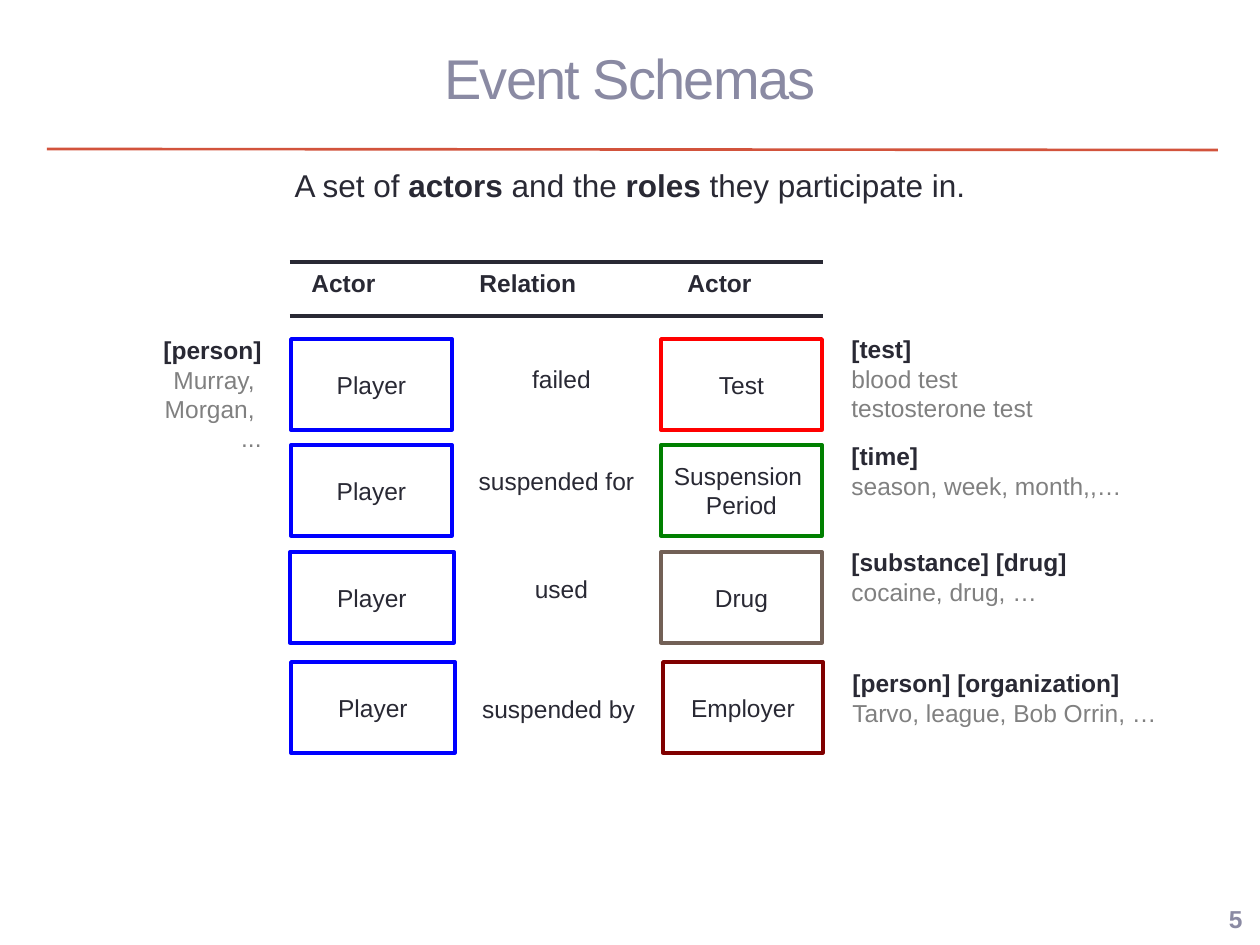
from pptx import Presentation
from pptx.dml.color import RGBColor as RGB
from pptx.enum.shapes import MSO_CONNECTOR as LINE, MSO_SHAPE as SHAPE
from pptx.enum.text import MSO_ANCHOR as ANCHOR, PP_ALIGN as ALIGN
from pptx.oxml.ns import qn
from pptx.util import Pt
from lxml.etree import SubElement

PX = 914400 // 126
DARK, SLATE = RGB(0x29, 0x29, 0x34), RGB(0x8A, 0x8A, 0xA3)
GRAY, RUST = RGB(0x80, 0x80, 0x80), RGB(0xD2, 0x53, 0x3C)
BLUE, RED = RGB(0, 0, 255), RGB(255, 0, 0)
GREEN, BROWN = RGB(0, 0x80, 0), RGB(0x72, 0x60, 0x56)
MAROON, WHITE = RGB(0x80, 0, 0), RGB(255, 255, 255)

# Runs are (text, format) pairs; a paragraph is a list of runs.
BOLD, FAINT = {"bold": True}, {"color": GRAY}
TITLE = "Event Schemas"
INTRO = [("A set of ", {}), ("actors", BOLD), (" and the ", {}),
         ("roles", BOLD), (" they participate in.", {})]
HEADS = [("Actor", 299, 108), ("Relation", 467, 147), ("Actor", 675, 108)]
PEOPLE = ["[person]", "Murray, ", "Morgan, ", "..."]
# top, player (left, width), relation (left, top, width),
# actor (left, width, lines, color), note (left, top, lines)
ROWS = [
    (339, (291, 161), ("failed", 499, 358, 125),
     (661, 161, ["Test"], RED),
     (839, 328, ["[test]", "blood test", "testosterone test"])),
    (445, (291, 161), ("suspended for", 464, 460, 185),
     (661, 161, ["Suspension ", "Period"], GREEN),
     (839, 435, ["[time]", "season, week, month,,…"])),
    (552, (290, 164), ("used", 499, 568, 125),
     (661, 161, ["Drug"], BROWN),
     (839, 541, ["[substance] [drug]", "cocaine, drug, …"])),
    (662, (291, 164), ("suspended by", 466, 688, 185),
     (663, 160, ["Employer"], MAROON),
     (840, 662, ["[person] [organization]", "Tarvo, league, Bob Orrin, …"])),
]
BOX_H, LINE_H, NOTE_W = 91, 38, 388
RULES = [(47, 149, 1218, 150, RUST, 1.5),
         (290, 262, 823, 262, DARK, 2.08), (290, 316, 823, 316, DARK, 2.08)]


def write(frame, paras, align=ALIGN.LEFT, **base):
    """Fill a text frame with paragraphs of formatted runs."""
    for i, runs in enumerate(paras):
        para = frame.paragraphs[0] if i == 0 else frame.add_paragraph()
        para.alignment = align
        for text, extra in runs:
            run = para.add_run()
            run.text = text
            form = {"name": "Arial", "size": 14, "bold": False,
                    "color": DARK, **base, **extra}
            run.font.color.rgb = form.pop("color")
            form["size"] = Pt(form["size"])
            for key, val in form.items():
                setattr(run.font, key, val)


def label(box, paras, align=ALIGN.LEFT, wrap=True, anchor=ANCHOR.TOP, **base):
    """Add a text box."""
    frame = slide.shapes.add_textbox(*(n * PX for n in box)).text_frame
    frame.word_wrap, frame.vertical_anchor = wrap, anchor
    write(frame, paras, align, **base)


def block(box, lines, color):
    """Add a white rectangle with a colored border."""
    shape = slide.shapes.add_shape(SHAPE.RECTANGLE, *(n * PX for n in box))
    shape.shadow.inherit = False
    shape.fill.solid()
    shape.fill.fore_color.rgb = WHITE
    shape.line.color.rgb = color
    shape.line.width = Pt(2.08)
    frame = shape.text_frame
    frame.word_wrap, frame.vertical_anchor = True, ANCHOR.MIDDLE
    write(frame, [[(line, {})] for line in lines], ALIGN.CENTER)


def rule(x1, y1, x2, y2, color, width):
    """Add a straight line."""
    line = slide.shapes.add_connector(
        LINE.STRAIGHT, x1 * PX, y1 * PX, x2 * PX, y2 * PX)
    line.line.color.rgb = color
    line.line.width = Pt(width)
    SubElement(line._element.spPr, qn("a:effectLst"))


def note(lines):
    """Return paragraphs with a bold first line and faint others."""
    return [[(line, FAINT if i else BOLD)] for i, line in enumerate(lines)]


deck = Presentation()
deck.slide_width, deck.slide_height = 1260 * PX, 945 * PX
slide = deck.slides.add_slide(deck.slide_layouts[5])

title = slide.shapes.title
title.left, title.top, title.width, title.height = (
    n * PX for n in (63, 9, 1134, 136))
title.text_frame.vertical_anchor = ANCHOR.MIDDLE
write(title.text_frame, [[(TITLE, {})]], ALIGN.CENTER, size=32, color=SLATE)
title.text_frame.paragraphs[0].runs[0].font._element.set("spc", "-100")

for args in RULES:
    rule(*args)
label((63, 160, 1134, 74), [INTRO], ALIGN.CENTER, size=18)
for text, left, width in HEADS:
    label((left, 262, width, LINE_H), [[(text, BOLD)]], wrap=False)
label((93, 329, 181, 131), note(PEOPLE), ALIGN.RIGHT)

for top, player, link, actor, info in ROWS:
    left, width = player
    block((left, top, width, BOX_H), ["Player"], BLUE)
    text, left, y, width = link
    label((left, y, width, LINE_H), [[(text, {})]], ALIGN.CENTER)
    left, width, lines, color = actor
    block((left, top, width, BOX_H), lines, color)
    left, y, lines = info
    label((left, y, NOTE_W, 28 * len(lines) + 13), note(lines))

label((1181, 896, 74, 45), [[("5", BOLD)]], ALIGN.RIGHT,
      anchor=ANCHOR.MIDDLE, color=SLATE)
deck.save("out.pptx")
